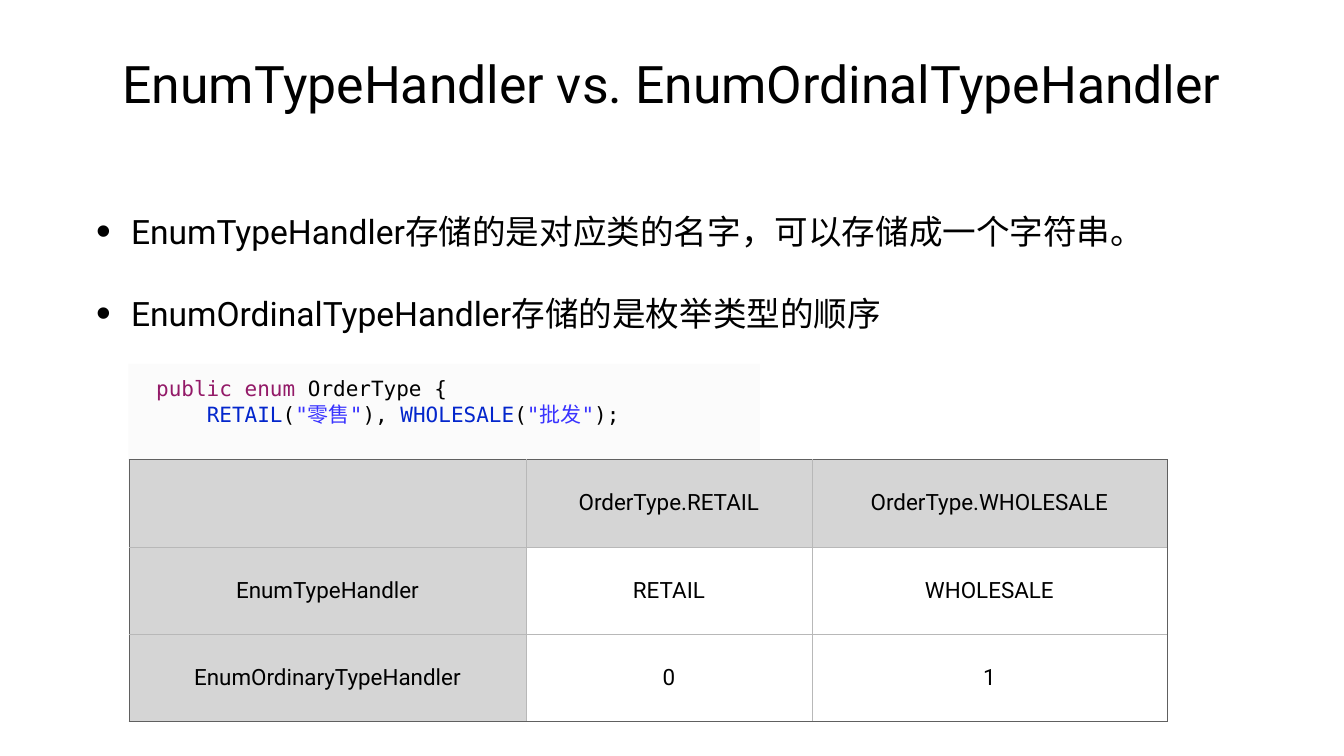
from lxml.etree import SubElement
from pptx import Presentation
from pptx.dml.color import RGBColor
from pptx.enum.shapes import MSO_SHAPE
from pptx.enum.text import MSO_ANCHOR, MSO_AUTO_SIZE, PP_ALIGN
from pptx.oxml.ns import qn
from pptx.util import Inches, Pt

COLORS = {
    "text": "000000", "key": "931A68", "name": "0326CC", "string": "3933FF",
    "panel": "EBEBEB", "head": "D5D5D5", "cell": "FFFFFF",
    "outer": "606060", "inner": "B8B8B8",
}
SANS, MONO = "Roboto", "DejaVu Sans Mono"
PAD = Inches(0.06)


class Deck:
    def __init__(self, width, height):
        self.prs = Presentation()
        self.prs.slide_width = Inches(width)
        self.prs.slide_height = Inches(height)
        self.slide = self.prs.slides.add_slide(self.prs.slide_layouts[1])

    def color(self, name):
        return RGBColor.from_string(COLORS[name])

    def assign(self, target, values):
        for name, value in values.items():
            setattr(target, name, value)

    def place(self, shape, box):
        names = ("left", "top", "width", "height")
        self.assign(shape, dict(zip(names, map(Inches, box))))

    def frame(self, shape, anchor):
        self.assign(shape.text_frame, {
            "word_wrap": True, "auto_size": MSO_AUTO_SIZE.NONE,
            "vertical_anchor": anchor, "margin_left": PAD,
            "margin_right": PAD, "margin_top": PAD, "margin_bottom": PAD,
        })
        return shape.text_frame

    def label(self, para, text, size, font=SANS, color="text"):
        run = para.add_run()
        run.text = text
        self.assign(run.font, {"size": Pt(size), "name": font, "bold": False})
        run.font.color.rgb = self.color(color)

    def title(self, text, box):
        shape = self.slide.shapes.title
        self.place(shape, box)
        para = self.frame(shape, MSO_ANCHOR.MIDDLE).paragraphs[0]
        para.alignment = PP_ALIGN.CENTER
        self.label(para, text, 73.9)

    def bullets(self, items, box):
        shape = self.slide.placeholders[1]
        self.place(shape, box)
        frame = self.frame(shape, MSO_ANCHOR.MIDDLE)
        for i, item in enumerate(items):
            para = frame.add_paragraph() if i else frame.paragraphs[0]
            props = para._p.get_or_add_pPr()
            props.set("marL", str(Inches(0.69)))
            props.set("indent", str(-Inches(0.69)))
            SubElement(props, qn("a:buSzPct"), val="125000")
            SubElement(props, qn("a:buChar"), char="•")
            para.space_before = Pt(59 if i else 0)
            self.label(para, item, 48)

    def panel(self, box, alpha):
        shape = self.slide.shapes.add_shape(
            MSO_SHAPE.RECTANGLE, *map(Inches, box))
        shape.shadow.inherit = False
        shape.line.fill.background()
        shape.fill.solid()
        shape.fill.fore_color.rgb = self.color("panel")
        tint = shape._element.spPr.find(".//" + qn("a:srgbClr"))
        SubElement(tint, qn("a:alpha"), val=str(alpha * 1000))

    def code(self, lines, box):
        shape = self.slide.shapes.add_textbox(*map(Inches, box))
        frame = self.frame(shape, MSO_ANCHOR.TOP)
        for i, line in enumerate(lines):
            para = frame.add_paragraph() if i else frame.paragraphs[0]
            for text, color in line:
                self.label(para, text, 30, MONO, color)

    def border(self, cell, sides):
        props = cell._tc.get_or_add_tcPr()
        for tag, outer in sides.items():
            line = SubElement(props, qn("a:" + tag), w=str(Pt(1)))
            fill = SubElement(line, qn("a:solidFill"))
            shade = COLORS["outer" if outer else "inner"]
            SubElement(fill, qn("a:srgbClr"), val=shade)

    def table(self, rows, widths, height, left, top):
        count, span = len(rows), len(widths)
        table = self.slide.shapes.add_table(
            count, span, Inches(left), Inches(top),
            Inches(sum(widths)), Inches(height * count)).table
        self.assign(table, {"first_row": False, "horz_banding": False})
        for col, width in zip(table.columns, widths):
            col.width = Inches(width)
        for r, row in enumerate(rows):
            table.rows[r].height = Inches(height)
            for c, text in enumerate(row):
                cell = table.cell(r, c)
                self.border(cell, {
                    "lnL": c == 0, "lnR": c == span - 1,
                    "lnT": r == 0, "lnB": r == count - 1})
                cell.fill.solid()
                shade = "cell" if r and c else "head"
                cell.fill.fore_color.rgb = self.color(shade)
                self.assign(cell, {
                    "vertical_anchor": MSO_ANCHOR.MIDDLE,
                    "margin_left": PAD, "margin_right": PAD,
                    "margin_top": PAD, "margin_bottom": PAD})
                if text:
                    para = cell.text_frame.paragraphs[0]
                    para.alignment = PP_ALIGN.CENTER
                    self.label(para, text, 32)


def main():
    deck = Deck(26.67, 15)
    deck.title("EnumTypeHandler vs. EnumOrdinalTypeHandler",
               (1.85, 0.39, 22.97, 2.5))
    deck.bullets([
        "EnumTypeHandler存储的是对应类的名字，可以存储成一个字符串。",
        "EnumOrdinalTypeHandler存储的是枚举类型的顺序",
    ], (1.85, 3.44, 22.97, 3.91))
    deck.panel((2.55, 7.22, 12.53, 2.5), 20)
    deck.code([
        [("public enum", "key"), (" OrderType {", "text")],
        [("    ", "text"), ("RETAIL", "name"), ("(", "text"),
         ('"零售"', "string"), ("), ", "text"), ("WHOLESALE", "name"),
         ("(", "text"), ('"批发"', "string"), (");", "text")],
    ], (3.04, 7.4, 9.54, 1.83))
    deck.table([
        ["", "OrderType.RETAIL", "OrderType.WHOLESALE"],
        ["EnumTypeHandler", "RETAIL", "WHOLESALE"],
        ["EnumOrdinaryTypeHandler", "0", "1"],
    ], [7.88, 5.67, 7.05], 1.73, 2.56, 9.12)
    deck.prs.save("out.pptx")


if __name__ == "__main__":
    main()
